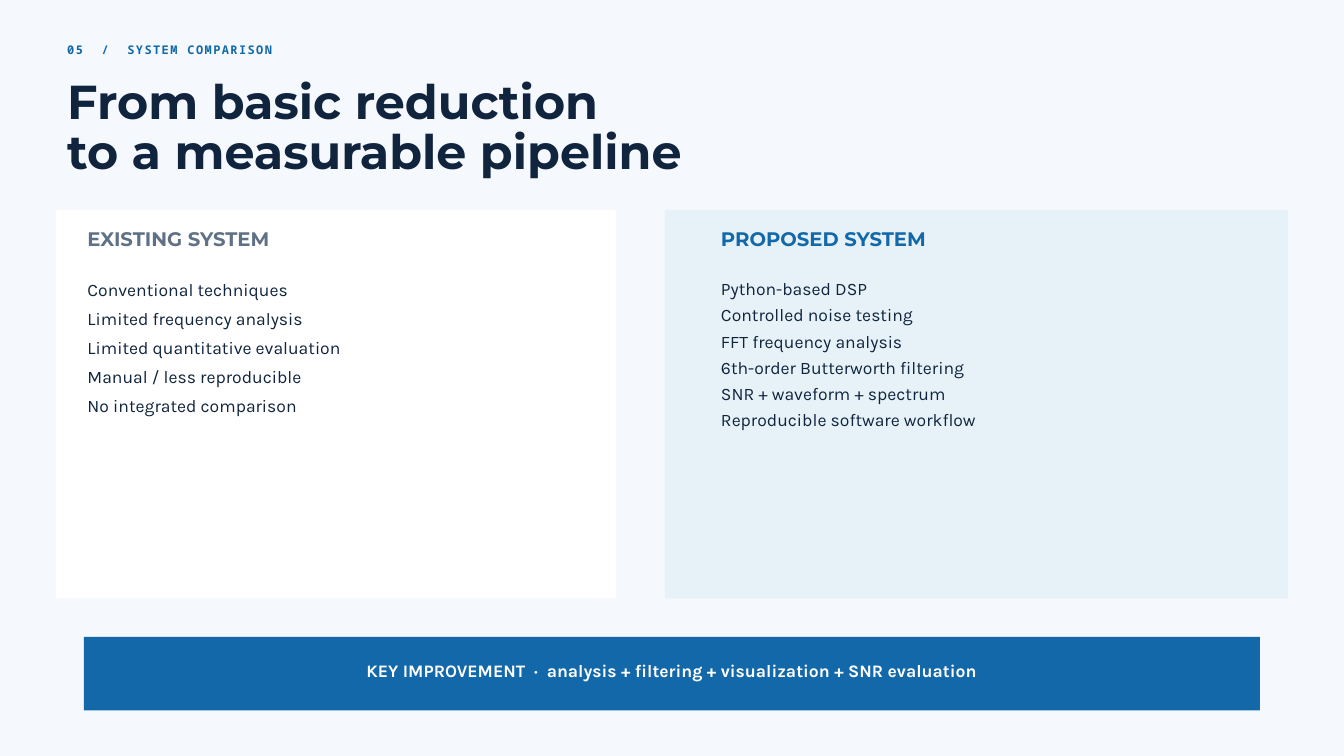
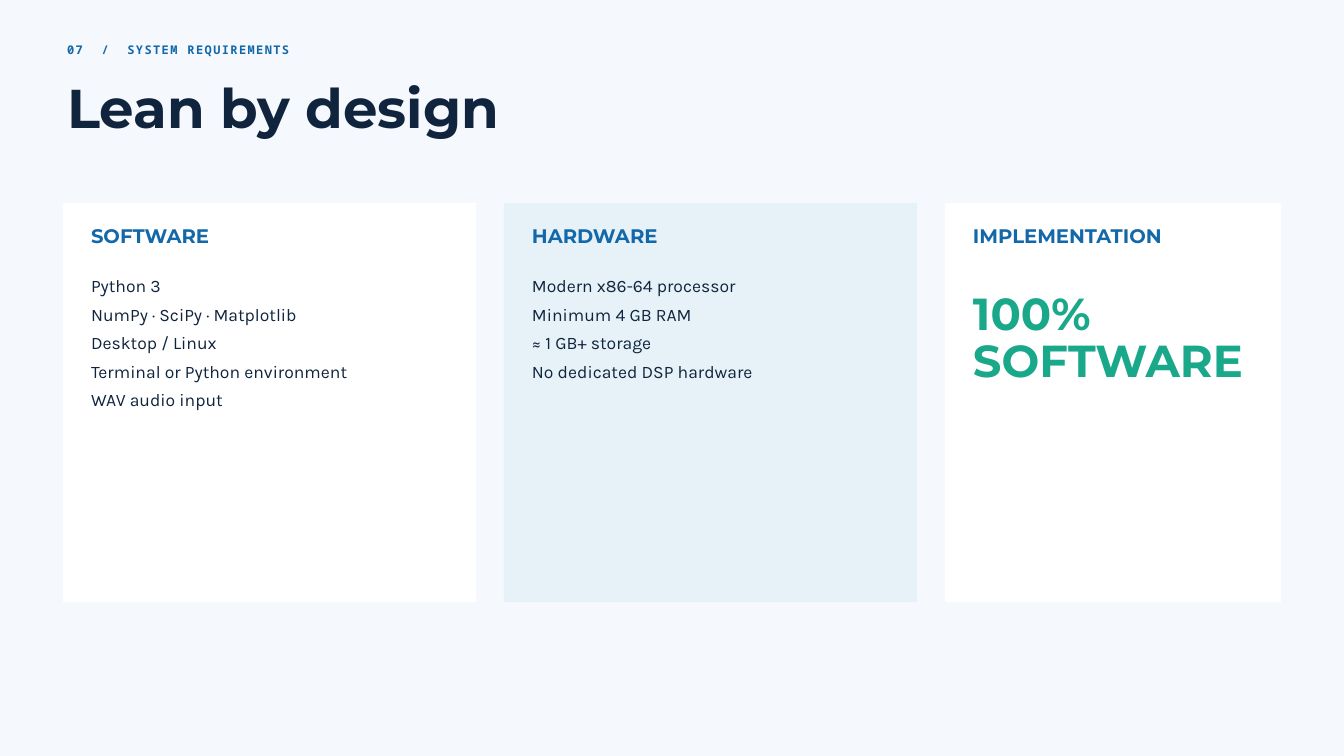
"""Build two slides: a system comparison and the system requirements."""
from pptx import Presentation
from pptx.dml.color import RGBColor
from pptx.enum.shapes import MSO_SHAPE
from pptx.enum.text import MSO_ANCHOR, MSO_AUTO_SIZE, PP_ALIGN
from pptx.util import Pt

RECTANGLE = MSO_SHAPE.RECTANGLE
TOP = MSO_ANCHOR.TOP
GROW = MSO_AUTO_SIZE.SHAPE_TO_FIT_TEXT
LEFT, CENTER = PP_ALIGN.LEFT, PP_ALIGN.CENTER

PX = 9525
TITLE_ONLY = 5
MARGIN = 96
PAPER, WHITE, MIST = "F5F8FC", "FFFFFF", "E6F2F7"
NAVY, BLUE, SLATE, GREEN = "10243E", "1268A8", "5F7185", "19A889"
DISPLAY, BODY, MONO = "Montserrat", "Karla", "Noto Sans Mono"

COMPARISON = {
    "kicker": "05  /  SYSTEM COMPARISON",
    "kicker_width": 600,
    "title": ["From basic reduction", "to a measurable pipeline"],
    "title_frame": (113, 1200, 144),
    "title_style": (51, 53.5),
    "panel_top": 300,
    "panel_height": 555,
    "heading_offset": 26,
    "panels": [
        {"left": 80, "width": 800, "fill": WHITE, "inset": 45,
         "heading": "EXISTING SYSTEM", "heading_color": SLATE,
         "heading_width": 600,
         "lines": ["Conventional techniques", "Limited frequency analysis",
                   "Limited quantitative evaluation",
                   "Manual / less reproducible", "No integrated comparison"],
         "lines_offset": 88, "lines_width": 650, "spacing": 30.9},
        {"left": 950, "width": 890, "fill": MIST, "inset": 80,
         "heading": "PROPOSED SYSTEM", "heading_color": BLUE,
         "heading_width": 650,
         "lines": ["Python-based DSP", "Controlled noise testing",
                   "FFT frequency analysis", "6th-order Butterworth filtering",
                   "SNR + waveform + spectrum",
                   "Reproducible software workflow"],
         "lines_offset": 90, "lines_width": 700, "spacing": 28.1},
    ],
    "banner": "KEY IMPROVEMENT  ·  analysis + filtering + visualization"
              " + SNR evaluation",
}

REQUIREMENTS = {
    "kicker": "07  /  SYSTEM REQUIREMENTS",
    "kicker_width": 650,
    "title": ["Lean by design"],
    "title_frame": (118, 900, 84),
    "title_style": (58.5, 61.4),
    "panel_top": 290,
    "panel_height": 570,
    "heading_offset": 31,
    "panels": [
        {"left": 90, "width": 590, "fill": WHITE, "inset": 40,
         "heading": "SOFTWARE", "heading_color": BLUE, "heading_width": 500,
         "lines": ["Python 3", "NumPy · SciPy · Matplotlib",
                   "Desktop / Linux", "Terminal or Python environment",
                   "WAV audio input"],
         "lines_offset": 93, "lines_width": 600, "spacing": 30.4},
        {"left": 720, "width": 590, "fill": MIST, "inset": 40,
         "heading": "HARDWARE", "heading_color": BLUE, "heading_width": 500,
         "lines": ["Modern x86-64 processor", "Minimum 4 GB RAM",
                   "≈ 1 GB+ storage", "No dedicated DSP hardware"],
         "lines_offset": 93, "lines_width": 560, "spacing": 30.4},
        {"left": 1350, "width": 480, "fill": WHITE, "inset": 40,
         "heading": "IMPLEMENTATION", "heading_color": BLUE,
         "heading_width": 400,
         "lines": ["100%", "SOFTWARE"],
         "lines_offset": 128, "lines_width": 400, "spacing": 50.4,
         "lines_style": (DISPLAY, 48, GREEN, True)},
    ],
}


def color(hex_text):
    """Turn a hex string into a colour."""
    return RGBColor.from_string(hex_text)


def place(shape, left, top, width, height):
    """Put a shape at a place given in px."""
    shape.left, shape.top = left * PX, top * PX
    shape.width, shape.height = width * PX, height * PX


def write(shape, lines, style, spacing, align=LEFT, tracking=None):
    """Fill a shape with one paragraph per line in a single style."""
    font_name, size, hex_text, bold = style
    frame = shape.text_frame
    frame.margin_left = frame.margin_right = 0
    frame.margin_top = frame.margin_bottom = 0
    frame.word_wrap = True
    frame.vertical_anchor = TOP
    frame.auto_size = GROW
    frame.text = "\n".join(lines)
    for para in frame.paragraphs:
        para.alignment = align
        para.line_spacing = Pt(spacing)
        para.space_before = Pt(0)
        for span in para.runs:
            span.font.name = font_name
            span.font.size = Pt(size)
            span.font.bold = bold
            span.font.color.rgb = color(hex_text)
            if tracking:
                span.font._element.set("spc", str(tracking))


def add_text(page, frame, lines, style, spacing, **options):
    """Add a text box with styled lines."""
    box = page.shapes.add_textbox(*(length * PX for length in frame))
    write(box, lines, style, spacing, **options)


def add_block(page, frame, fill):
    """Add a plain filled rectangle."""
    block = page.shapes.add_shape(RECTANGLE, *(length * PX for length in frame))
    block.shadow.inherit = False
    block.fill.solid()
    block.fill.fore_color.rgb = color(fill)
    block.line.fill.background()


def add_panel(page, panel, top, height, heading_offset):
    """Add a panel with its heading and its lines."""
    add_block(page, (panel["left"], top, panel["width"], height), panel["fill"])
    left = panel["left"] + panel["inset"]
    add_text(page, (left, top + heading_offset, panel["heading_width"], 33),
             [panel["heading"]], (DISPLAY, 21, panel["heading_color"], True), 24.1)
    lines, spacing = panel["lines"], panel["spacing"]
    lines_height = round(len(lines) * spacing * 4 / 3)
    add_text(page, (left, top + panel["lines_offset"], panel["lines_width"], lines_height),
             lines, panel.get("lines_style", (BODY, 18.8, NAVY, False)), spacing)


def add_banner(page, sentence):
    """Add the closing band with its centred sentence."""
    add_block(page, (120, 910, 1680, 105), BLUE)
    add_text(page, (165, 938, 1590, 32), [sentence],
             (BODY, 18.8, WHITE, True), 25.9, align=CENTER)


def add_page(deck, content):
    """Add one slide with kicker, title, panels and optional banner."""
    page = deck.slides.add_slide(deck.slide_layouts[TITLE_ONLY])
    add_text(page, (MARGIN, 58, content["kicker_width"], 22), [content["kicker"]],
             (MONO, 12.8, BLUE, True), 17.8, tracking=150)
    title = page.shapes.title
    place(title, MARGIN, *content["title_frame"])
    size, spacing = content["title_style"]
    write(title, content["title"], (DISPLAY, size, NAVY, True), spacing)
    for panel in content["panels"]:
        add_panel(page, panel, content["panel_top"], content["panel_height"],
                  content["heading_offset"])
    if "banner" in content:
        add_banner(page, content["banner"])


def main():
    """Build and save the deck."""
    deck = Presentation()
    deck.slide_width, deck.slide_height = 1920 * PX, 1080 * PX
    backdrop = deck.slide_master.background.fill
    backdrop.solid()
    backdrop.fore_color.rgb = color(PAPER)
    for content in (COMPARISON, REQUIREMENTS):
        add_page(deck, content)
    deck.save("out.pptx")


if __name__ == "__main__":
    main()
